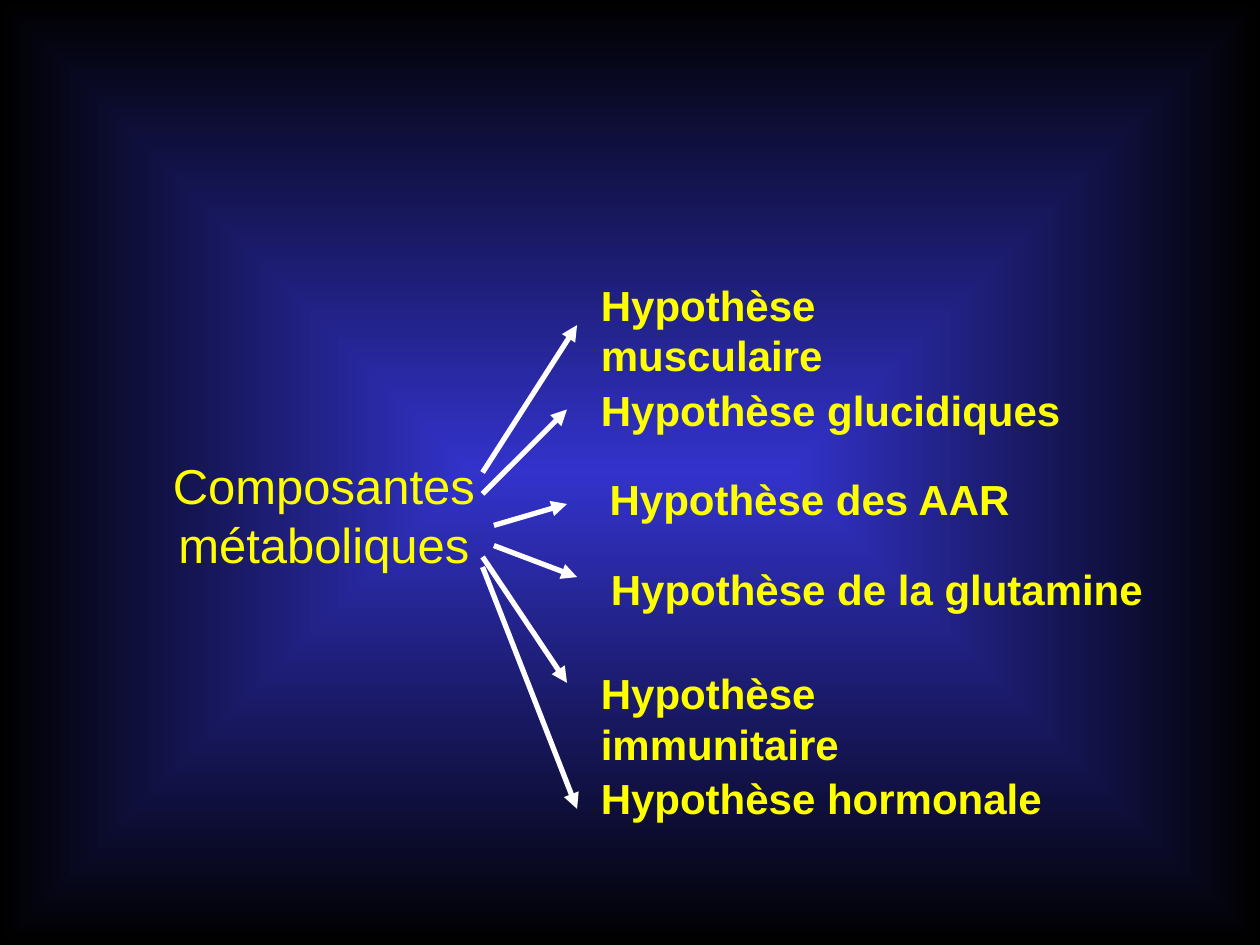
from dataclasses import dataclass

from lxml.etree import SubElement
from pptx import Presentation
from pptx.dml.color import RGBColor
from pptx.enum.shapes import MSO_CONNECTOR
from pptx.enum.text import MSO_AUTO_SIZE, PP_ALIGN
from pptx.oxml.ns import qn
from pptx.util import Inches, Pt


@dataclass(frozen=True)
class Theme:
    font: str = "Arial"
    text: RGBColor = RGBColor(0xFF, 0xFF, 0x00)
    arrow: RGBColor = RGBColor(0xFF, 0xFF, 0xFF)
    center: RGBColor = RGBColor(0x33, 0x33, 0xCC)
    edge: RGBColor = RGBColor(0x00, 0x00, 0x00)
    topic_size: Pt = Pt(28)
    hypothesis_size: Pt = Pt(24)
    arrow_width: Pt = Pt(3)


THEME = Theme()

TOPIC = ["Composantes ", "métaboliques"]

# Text, left, top and width of the label, then start and end of its arrow
HYPOTHESES = [
    ("Hypothèse musculaire", 4.67, 2.17, 3.75, (3.83, 3.75), (4.58, 2.58)),
    ("Hypothèse glucidiques", 4.67, 3, 3.85, (3.83, 3.92), (4.5, 3.25)),
    ("Hypothèse des AAR", 4.74, 3.71, 3.38, (3.92, 4.17), (4.5, 4)),
    ("Hypothèse de la glutamine", 4.75, 4.42, 4.42, (3.92, 4.33), (4.58, 4.58)),
    ("Hypothèse immunitaire", 4.67, 5.25, 3.88, (3.83, 4.42), (4.5, 5.42)),
    ("Hypothèse hormonale", 4.67, 6.08, 3.7, (3.83, 4.5), (4.58, 6.42)),
]


def set_background(slide):
    """Fill the slide with a rectangular gradient spreading from its centre."""
    fill = slide.background.fill
    fill.gradient()
    for stop, color, position in zip(
        fill.gradient_stops, (THEME.center, THEME.edge), (0, 1)
    ):
        stop.color.rgb = color
        stop.position = position
    gradient = next(slide.element.iter(qn("a:gradFill")))
    gradient.remove(gradient.find(qn("a:lin")))
    gradient_path = SubElement(gradient, qn("a:path"), {"path": "rect"})
    sides = dict.fromkeys("ltrb", "50000")
    SubElement(gradient_path, qn("a:fillToRect"), sides)


def add_label(slide, lines, box, size, bold=False, alignment=PP_ALIGN.LEFT):
    shape = slide.shapes.add_textbox(*map(Inches, box))
    frame = shape.text_frame
    frame.word_wrap = False
    frame.auto_size = MSO_AUTO_SIZE.SHAPE_TO_FIT_TEXT
    frame.text = "\n".join(lines)
    font_format = {"name": THEME.font, "size": size, "bold": bold}
    for paragraph in frame.paragraphs:
        paragraph.alignment = alignment
        font = paragraph.runs[0].font
        for name, value in font_format.items():
            setattr(font, name, value)
        font.color.rgb = THEME.text


def add_arrow(slide, start, end):
    connector = slide.shapes.add_connector(
        MSO_CONNECTOR.STRAIGHT, *map(Inches, start + end)
    )
    connector.line.width = THEME.arrow_width
    connector.line.color.rgb = THEME.arrow
    properties = connector.element.spPr
    SubElement(properties.find(qn("a:ln")), qn("a:tailEnd"), {"type": "triangle"})
    SubElement(properties, qn("a:effectLst"))


def main():
    presentation = Presentation()
    presentation.slide_width = Inches(10)
    presentation.slide_height = Inches(7.5)
    slide = presentation.slides.add_slide(presentation.slide_layouts[6])
    set_background(slide)
    add_label(
        slide, TOPIC, (1.22, 3.57, 2.7, 1.04), THEME.topic_size,
        alignment=PP_ALIGN.CENTER,
    )
    for text, left, top, width, start, end in HYPOTHESES:
        add_arrow(slide, start, end)
        box = (left, top, width, 0.5)
        add_label(slide, [text], box, THEME.hypothesis_size, bold=True)
    presentation.save("out.pptx")


if __name__ == "__main__":
    main()
